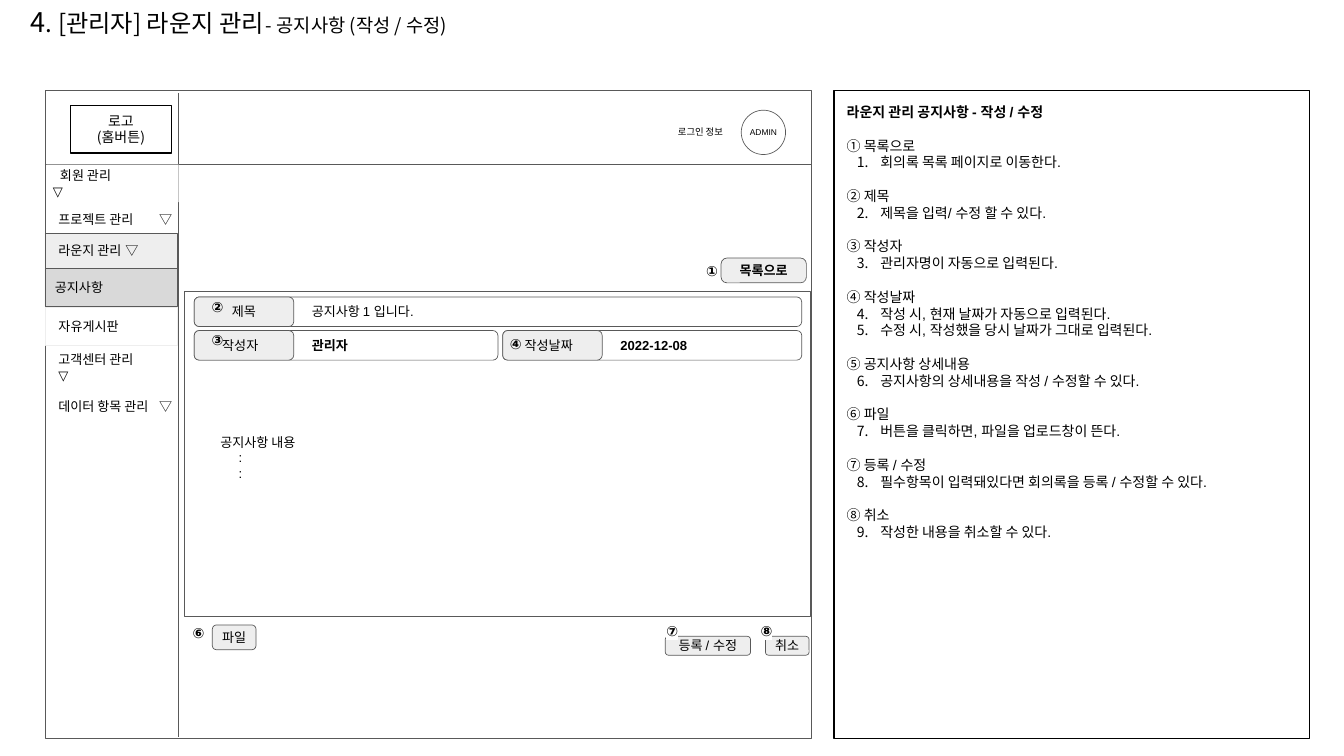
from lxml import etree
from pptx import Presentation
from pptx.dml.color import RGBColor
from pptx.enum import shapes, text
from pptx.oxml import ns
from pptx.util import Pt

BLACK = RGBColor(0x00, 0x00, 0x00)
WHITE = RGBColor(0xFF, 0xFF, 0xFF)
GRAY = RGBColor(0x59, 0x59, 0x59)
LIGHT = RGBColor(0xEE, 0xEE, 0xEE)
SELECTED = RGBColor(0xD9, 0xD9, 0xD9)

RECT = shapes.MSO_SHAPE.RECTANGLE
ROUND = shapes.MSO_SHAPE.ROUNDED_RECTANGLE
OVAL = shapes.MSO_SHAPE.OVAL
LEFT, CENTER = text.PP_ALIGN.LEFT, text.PP_ALIGN.CENTER
TOP, MIDDLE = text.MSO_ANCHOR.TOP, text.MSO_ANCHOR.MIDDLE

NOTES = [
    ("① 목록으로", ["회의록 목록 페이지로 이동한다."]),
    ("② 제목", ["제목을 입력/ 수정 할 수 있다."]),
    ("③ 작성자", ["관리자명이 자동으로 입력된다."]),
    ("④ 작성날짜", ["작성 시, 현재 날짜가 자동으로 입력된다.",
                "수정 시, 작성했을 당시 날짜가 그대로 입력된다."]),
    ("⑤ 공지사항 상세내용", ["공지사항의 상세내용을 작성 / 수정할 수 있다."]),
    ("⑥ 파일", ["버튼을 클릭하면, 파일을 업로드창이 뜬다."]),
    ("⑦ 등록 / 수정", ["필수항목이 입력돼있다면 회의록을 등록 / 수정할 수 있다."]),
    ("⑧ 취소", ["작성한 내용을 취소할 수 있다."]),
]


class Wireframe:
    font, size, inset = "Arial", 14, 7.2

    def __init__(self, slide):
        self.slide = slide

    def frame(self, shape, insets=None, anchor=TOP, wrap=True):
        """Prepare the text frame; insets are left, top, right, bottom."""
        body = shape.text_frame
        body.word_wrap = wrap
        body.vertical_anchor = anchor
        sides = [Pt(v) for v in insets or [self.inset] * 4]
        body.margin_left, body.margin_top, body.margin_right, body.margin_bottom = sides
        return body

    def box(self, x, y, w, h, fill=None, line=GRAY, weight=0.75, kind=RECT, radius=0.167):
        shape = self.slide.shapes.add_shape(kind, Pt(x), Pt(y), Pt(w), Pt(h))
        shape.shadow.inherit = False
        if kind == ROUND:
            shape.adjustments[0] = radius
        if fill is None:
            shape.fill.background()
        else:
            shape.fill.solid()
            shape.fill.fore_color.rgb = fill
        if line is None:
            shape.line.fill.background()
        else:
            shape.line.color.rgb = line
            shape.line.width = Pt(weight)
        return shape

    def label(self, x, y, w, h, words, insets=None, align=LEFT, bold=False, **look):
        """A box holding one line of vertically centred text."""
        body = self.frame(self.box(x, y, w, h, **look), insets, MIDDLE)
        self.run(self.paragraph(body, align), words, bold=bold)

    def button(self, x, y, w, h, words, **look):
        self.label(x, y, w, h, words, align=CENTER, fill=LIGHT, kind=ROUND, **look)

    def text_box(self, x, y, w, h, **layout):
        return self.frame(self.slide.shapes.add_textbox(Pt(x), Pt(y), Pt(w), Pt(h)), **layout)

    def paragraph(self, body, align=LEFT, before=0, margin=0, hanging=0, tab=None, number=None):
        first = body.paragraphs[0]
        para = body.add_paragraph() if first.runs else first
        para.alignment = align
        para.space_before = Pt(before)
        props = para._p.get_or_add_pPr()
        props.set("marL", str(Pt(margin)))
        props.set("indent", str(Pt(-hanging)))
        if number:
            etree.SubElement(props, ns.qn("a:buAutoNum"), type="arabicPeriod", startAt=str(number))
        if tab:
            stops = etree.SubElement(props, ns.qn("a:tabLst"))
            etree.SubElement(stops, ns.qn("a:tab"), pos=str(Pt(tab)), algn="l")
        return para

    def run(self, para, words, size=None, bold=False, font=None):
        run = para.add_run()
        run.text = words
        run.font.name = font or self.font
        run.font.size = Pt(size or self.size)
        run.font.bold = bold
        run.font.color.rgb = BLACK
        return run

    def marker(self, x, y, symbol, highlight=False):
        body = self.text_box(x, y, 26, 32, wrap=False)
        run = self.run(self.paragraph(body), symbol, size=15, bold=True)
        if highlight:
            mark = etree.Element(ns.qn("a:highlight"))
            etree.SubElement(mark, ns.qn("a:srgbClr"), val=str(WHITE))
            run._r.rPr.find(ns.qn("a:solidFill")).addnext(mark)

    def line(self, x1, y1, x2, y2):
        rule = self.slide.shapes.add_connector(
            shapes.MSO_CONNECTOR.STRAIGHT, Pt(x1), Pt(y1), Pt(x2), Pt(y2))
        rule.line.color.rgb = GRAY
        rule.line.width = Pt(0.75)
        etree.SubElement(rule._element.spPr, ns.qn("a:effectLst"))


def add_title(wire):
    body = wire.text_box(0, 0, 1440, 47, insets=(33, 0, 13.7, 0), anchor=MIDDLE)
    title = wire.paragraph(body, tab=340)
    for words, size in (("4", 29), (". [관리자] 라운지 관리", 26), ("\t", 26),
                        ("- 공지사항 (작성 / 수정)", 20)):
        wire.run(title, words, size, font="Noto Sans CJK KR")


def add_notes(wire):
    panel = wire.box(893.5, 97.2, 509.8, 694, line=BLACK, weight=1.5)
    body = wire.frame(panel, [13.7] * 4)
    wire.run(wire.paragraph(body), "라운지 관리 공지사항 - 작성 / 수정", 15, bold=True)
    number = 0
    for heading, items in NOTES:
        wire.run(wire.paragraph(body, before=18), heading, 15)
        for item in items:
            number += 1
            wire.run(wire.paragraph(body, margin=36, hanging=25.2, number=number), item, 15)


def add_header(wire):
    logo = wire.frame(wire.box(75.6, 113, 108, 51.1, WHITE, BLACK, 1.5), anchor=MIDDLE)
    for words in ("로고", "(홈버튼)"):
        para = wire.paragraph(logo, CENTER)
        para.line_spacing = Pt(17)
        wire.run(para, words, 15, font="Noto Sans CJK KR")
    wire.line(48.2, 176.4, 870.5, 176.4)
    user = wire.frame(wire.box(794.2, 118.1, 47.5, 47.5, kind=OVAL), [0] * 4, MIDDLE, False)
    wire.run(wire.paragraph(user, CENTER), "ADMIN", 9)
    login = wire.text_box(719.3, 129.6, 87.8, 26.6)
    wire.run(wire.paragraph(login), "로그인 정보", 10)
    wire.line(190.8, 99.4, 190.8, 789.8)


def add_menu(wire):
    menu = wire.text_box(55.4, 219, 141.8, 237)
    for words, before in (("프로젝트 관리\t▽", 0), ("라운지 관리\t▽", 17),
                          ("고객센터 관리", 100), ("▽", 0), ("데이터 항목 관리\t▽", 16.5)):
        wire.run(wire.paragraph(menu, before=before, tab=102), words)
    members = wire.frame(wire.box(49.7, 176.4, 141.8, 40.3, WHITE, None), anchor=MIDDLE)
    wire.run(wire.paragraph(members, margin=7.5), "회원 관리")
    wire.run(wire.paragraph(members), "▽")
    wire.label(48.2, 288, 141.8, 40.3, "공지사항", (10.7, 7.2, 7.2, 7.2), fill=SELECTED)
    wire.label(48.2, 329.8, 141.8, 40.3, "자유게시판", (14.5, 7.2, 7.2, 7.2), line=LIGHT)


def add_form(wire):
    wire.button(772.6, 276.5, 91.4, 26.6, "목록으로", bold=True, radius=0.235)
    wire.box(197.3, 312.5, 671, 347.8)
    title_y, detail_y, left, right = 318.2, 354.2, 208.1, 538.6
    for x, y, width, name, value, bold, pad in (
            (left, title_y, 650.9, "제목", "공지사항 1 입니다.", False, 7.2),
            (left, detail_y, 325.4, "작성자", "관리자", True, 15),
            (right, detail_y, 320.4, "작성날짜", "2022-12-08", True, 15)):
        wire.label(x, y, width, 31.7, value, (124.5, 7.2, 7.2, 7.2), bold=bold, kind=ROUND)
        wire.button(x, y, 106.6, 31.7, name, insets=(7.2, 7.2, pad, 7.2))
    content = wire.frame(wire.box(229, 457.9, 577.4, 65.5, WHITE, None))
    for words, margin in (("공지사항 내용", 0), (":", 19.5), (":", 19.5)):
        wire.run(wire.paragraph(content, margin=margin), words)
    wire.button(227.5, 669.6, 46.8, 26.6, "파일")
    wire.button(712.8, 681.8, 91.4, 20.2, "등록 / 수정")
    wire.button(820.1, 681.8, 46.8, 20.2, "취소")
    for symbol, x, y in (("①", 749.5, 273.6), ("②", 219.6, 312.5), ("③", 219.6, 348.5),
                         ("④", 539.3, 352.1), ("⑥", 199.4, 662.4)):
        wire.marker(x, y, symbol)
    for symbol, x in (("⑦", 707), ("⑧", 807.8)):
        wire.marker(x, 660.2, symbol, highlight=True)


def main():
    deck = Presentation()
    deck.slide_width, deck.slide_height = Pt(1440), Pt(810)
    wire = Wireframe(deck.slides.add_slide(deck.slide_layouts[6]))
    wire.box(48.2, 97.2, 821.5, 694)
    wire.box(48.2, 249.8, 141.8, 38.9, LIGHT)
    add_notes(wire)
    add_title(wire)
    add_header(wire)
    add_menu(wire)
    add_form(wire)
    deck.save("out.pptx")


if __name__ == "__main__":
    main()
